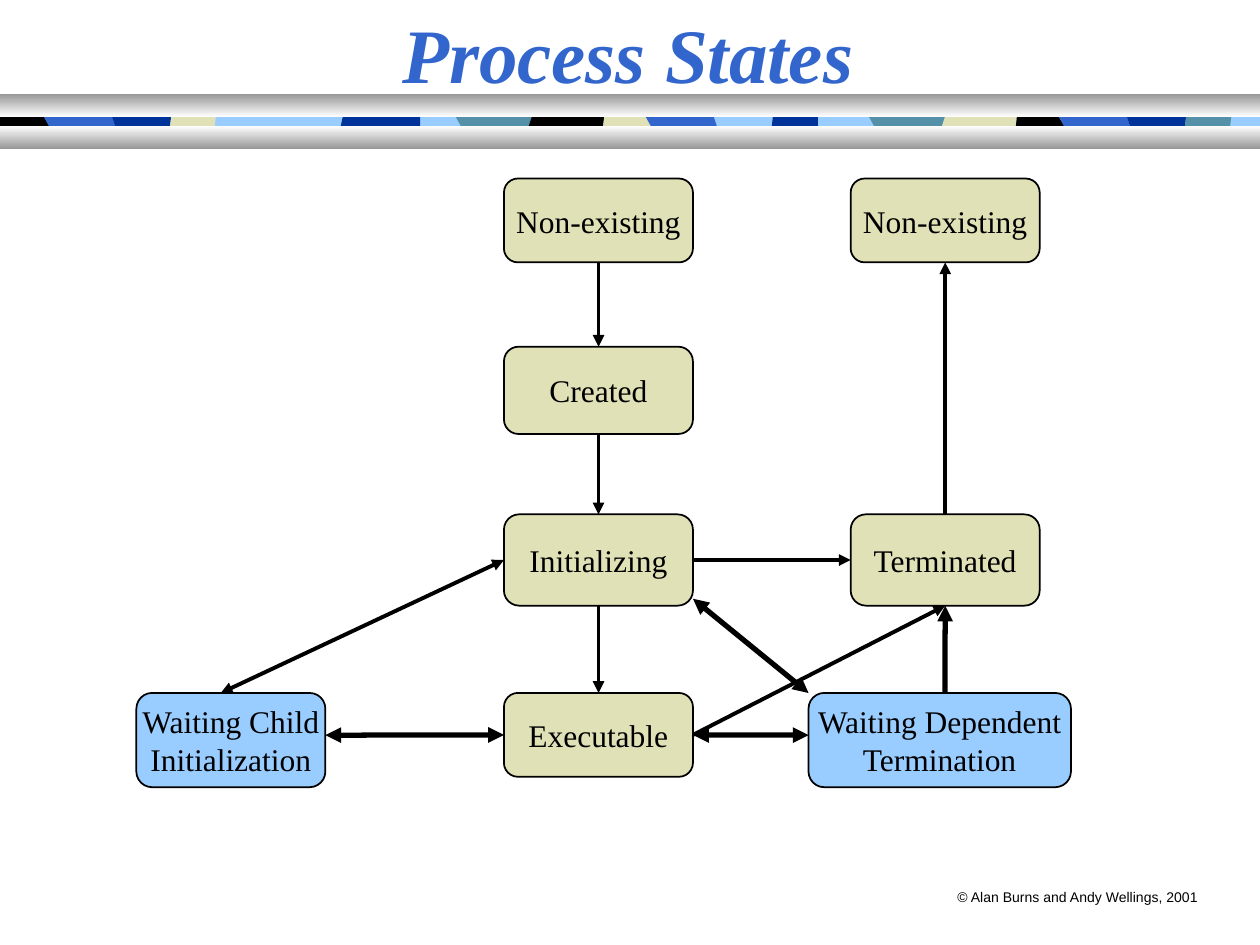
"""Build the Process States slide: a state diagram under a mosaic title band."""
from lxml.etree import SubElement
from pptx import Presentation
from pptx.dml.color import RGBColor
from pptx.enum.shapes import MSO_CONNECTOR, MSO_SHAPE
from pptx.enum.text import MSO_ANCHOR, MSO_AUTO_SIZE, PP_ALIGN
from pptx.oxml.ns import qn
from pptx.util import Cm, Pt

BLACK = RGBColor(0x00, 0x00, 0x00)
WHITE = RGBColor(0xFF, 0xFF, 0xFF)
GRAY = RGBColor(0x98, 0x98, 0x98)
BLUE = RGBColor(0x33, 0x66, 0xCC)
NAVY = RGBColor(0x00, 0x33, 0x99)
SKY = RGBColor(0x99, 0xCC, 0xFF)
TEAL = RGBColor(0x54, 0x90, 0xA8)
SAND = RGBColor(0xE1, 0xE1, 0xB7)
SERIF, SANS = "Times New Roman", "Arial"

TITLE = "Process States"
FOOTER = "© Alan Burns and Andy Wellings, 2001"
PAGE_WIDTH, PAGE_HEIGHT = 25.4, 19.05

# Each tile: colour, right edge at the top and at the bottom of the open strip.
TILES = [
    (BLACK, 0.89, 0.99), (BLUE, 2.26, 2.32), (NAVY, 3.45, 3.43), (SAND, 4.35, 4.33),
    (SKY, 6.91, 6.87), (NAVY, 8.47, 8.47), (SKY, 9.19, 9.29), (TEAL, 10.72, 10.66),
    (BLACK, 12.18, 12.16), (SAND, 13.02, 13.12), (BLUE, 14.39, 14.45), (SKY, 15.58, 15.56),
    (NAVY, 16.49, 16.49), (SKY, 17.52, 17.62), (TEAL, 19.05, 18.99), (SAND, 20.5, 20.48),
    (BLACK, 21.35, 21.45), (BLUE, 22.72, 22.78), (NAVY, 23.91, 23.89), (TEAL, 24.82, 24.8),
]
MOSAIC_TOP, STRIP_TOP, STRIP_BOTTOM, MOSAIC_BOTTOM = 2.16, 2.36, 2.54, 2.87
BARS = [(1.9, GRAY, WHITE), (2.54, WHITE, GRAY)]
BAR_HEIGHT = 0.46

MIDDLE, RIGHT, STATE_WIDTH = 10.16, 17.15, 3.81
STATES = {
    "start": (["Non-existing"], SAND, MIDDLE, 3.6, STATE_WIDTH, 1.69),
    "end": (["Non-existing"], SAND, RIGHT, 3.6, STATE_WIDTH, 1.69),
    "created": (["Created"], SAND, MIDDLE, 6.99, STATE_WIDTH, 1.76),
    "initializing": (["Initializing"], SAND, MIDDLE, 10.37, STATE_WIDTH, 1.84),
    "terminated": (["Terminated"], SAND, RIGHT, 10.37, STATE_WIDTH, 1.84),
    "executable": (["Executable"], SAND, MIDDLE, 13.97, STATE_WIDTH, 1.69),
    "child": (["Waiting Child", "Initialization"], SKY, 2.75, 13.97, STATE_WIDTH, 1.9),
    "dependent": (["Waiting Dependent", "Termination"], SKY, 16.3, 13.97, 5.29, 1.9),
}

TOP_SIDE, LEFT_SIDE, BOTTOM_SIDE, RIGHT_SIDE = range(4)
ONE_WAY, TWO_WAY = ["tailEnd"], ["headEnd", "tailEnd"]
TRANSITIONS = [
    (("start", BOTTOM_SIDE), ("created", TOP_SIDE), 2.25, ONE_WAY),
    (("created", BOTTOM_SIDE), ("initializing", TOP_SIDE), 2.25, ONE_WAY),
    (("initializing", BOTTOM_SIDE), ("executable", TOP_SIDE), 2.25, ONE_WAY),
    (("initializing", RIGHT_SIDE), ("terminated", LEFT_SIDE), 2.25, ONE_WAY),
    (("executable", RIGHT_SIDE), ("terminated", BOTTOM_SIDE), 2.25, ONE_WAY),
    (("terminated", TOP_SIDE), ("end", BOTTOM_SIDE), 2.25, ONE_WAY),
    ((6.56, 14.82), ("executable", LEFT_SIDE), 3, TWO_WAY),
    (("executable", RIGHT_SIDE), (16.3, 14.82), 3, TWO_WAY),
    ((19.05, 13.97), ("terminated", BOTTOM_SIDE), 3, ONE_WAY),
    ((16.3, 13.97), (13.97, 12.07), 3, TWO_WAY),
    ((4.45, 13.97), ("initializing", LEFT_SIDE), 2.25, TWO_WAY),
]


def write(para, text, font, size, color, bold=False, italic=False):
    span = para.add_run()
    span.text = text
    span.font.name, span.font.size = font, Pt(size)
    span.font.bold, span.font.italic = bold, italic
    span.font.color.rgb = color


def add_polygon(page, points, color):
    corners = [(Cm(x), Cm(y)) for x, y in points]
    builder = page.shapes.build_freeform(*corners[0])
    builder.add_line_segments(corners[1:], close=True)
    tile = builder.convert_to_shape()
    tile.shadow.inherit = False
    tile.fill.solid()
    tile.fill.fore_color.rgb = color
    tile.line.fill.background()


def add_band(page):
    add_polygon(page, [(0, MOSAIC_TOP), (PAGE_WIDTH, MOSAIC_TOP),
                       (PAGE_WIDTH, MOSAIC_BOTTOM), (0, MOSAIC_BOTTOM)], SKY)
    left_top = left_bottom = 0
    for color, right_top, right_bottom in TILES:
        if color != SKY:
            add_polygon(page, [
                (left_top, MOSAIC_TOP), (right_top, MOSAIC_TOP), (right_top, STRIP_TOP),
                (right_bottom, STRIP_BOTTOM), (right_bottom, MOSAIC_BOTTOM),
                (left_bottom, MOSAIC_BOTTOM), (left_bottom, STRIP_BOTTOM), (left_top, STRIP_TOP),
            ], color)
        left_top, left_bottom = right_top, right_bottom
    for top, *colors in BARS:
        bar = page.shapes.add_shape(MSO_SHAPE.RECTANGLE, 0, Cm(top), Cm(PAGE_WIDTH), Cm(BAR_HEIGHT))
        bar.shadow.inherit = False
        bar.line.fill.background()
        bar.fill.gradient()
        bar.fill.gradient_angle = 270
        for stop, color in zip(bar.fill.gradient_stops, colors):
            stop.color.rgb = color


def add_state(page, lines, color, left, top, width, height):
    box = page.shapes.add_shape(MSO_SHAPE.ROUNDED_RECTANGLE, Cm(left), Cm(top), Cm(width), Cm(height))
    box.shadow.inherit = False
    box.fill.solid()
    box.fill.fore_color.rgb = color
    box.line.color.rgb, box.line.width = BLACK, Pt(1)
    frame = box.text_frame
    frame.word_wrap = False
    frame.vertical_anchor = MSO_ANCHOR.MIDDLE
    for index, line in enumerate(lines):
        para = frame.add_paragraph() if index else frame.paragraphs[0]
        para.alignment = PP_ALIGN.CENTER
        write(para, line, SERIF, 18, BLACK)
    return box


def add_transition(page, boxes, start, finish, weight, arrowheads):
    arrow = page.shapes.add_connector(MSO_CONNECTOR.STRAIGHT, 0, 0, 0, 0)
    if start[0] in boxes:
        arrow.begin_connect(boxes[start[0]], start[1])
    else:
        arrow.begin_x, arrow.begin_y = map(Cm, start)
    if finish[0] in boxes:
        arrow.end_connect(boxes[finish[0]], finish[1])
    else:
        arrow.end_x, arrow.end_y = map(Cm, finish)
    arrow.line.color.rgb, arrow.line.width = BLACK, Pt(weight)
    properties = arrow.element.spPr
    for arrowhead in arrowheads:
        SubElement(properties.find(qn("a:ln")), qn(f"a:{arrowhead}"), type="triangle")
    SubElement(properties, qn("a:effectLst"))


def main():
    deck = Presentation()
    deck.slide_width, deck.slide_height = Cm(PAGE_WIDTH), Cm(PAGE_HEIGHT)
    page = deck.slides.add_slide(deck.slide_layouts[5])
    add_band(page)

    title = page.shapes.title
    title.left, title.top, title.width, title.height = Cm(0), Cm(0), Cm(25.32), Cm(2.11)
    title.text_frame.vertical_anchor = MSO_ANCHOR.MIDDLE
    title.text_frame.auto_size = MSO_AUTO_SIZE.NONE
    para = title.text_frame.paragraphs[0]
    para.alignment = PP_ALIGN.CENTER
    write(para, TITLE, SERIF, 44, BLUE, bold=True, italic=True)

    footer = page.shapes.add_textbox(Cm(19.05), Cm(17.78), Cm(5.38), Cm(0.61))
    footer.text_frame.word_wrap = False
    footer.text_frame.auto_size = MSO_AUTO_SIZE.SHAPE_TO_FIT_TEXT
    write(footer.text_frame.paragraphs[0], FOOTER, SANS, 8, BLACK)

    boxes = {name: add_state(page, *state) for name, state in STATES.items()}
    for transition in TRANSITIONS:
        add_transition(page, boxes, *transition)
    deck.save("out.pptx")


if __name__ == "__main__":
    main()
